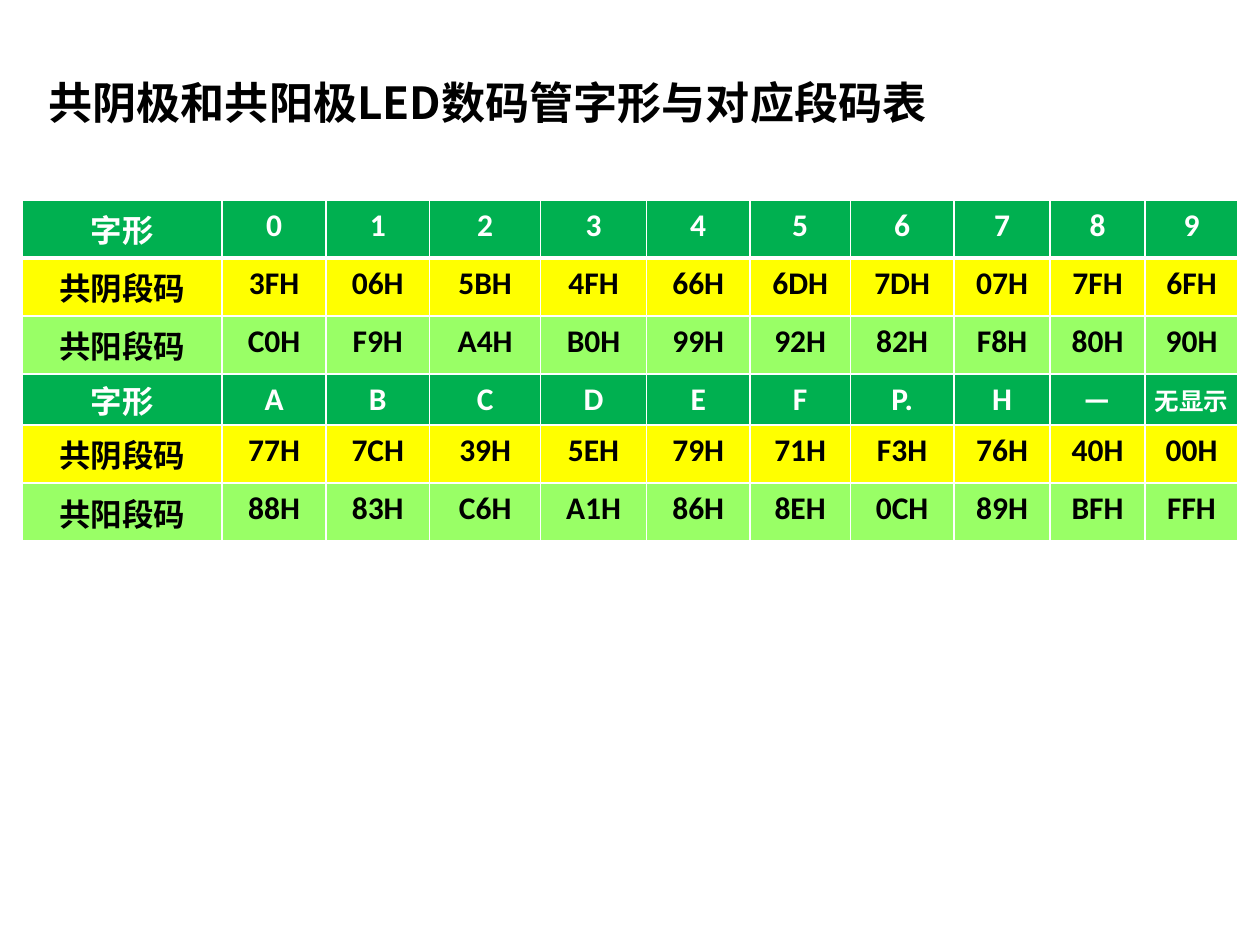
from lxml.etree import SubElement
from pptx import Presentation
from pptx.dml.color import RGBColor
from pptx.enum.text import MSO_ANCHOR, PP_ALIGN
from pptx.oxml.ns import qn
from pptx.util import Cm, Pt

GREEN, YELLOW, LIME = "00B050", "FFFF00", "99FF66"
WHITE, BLACK = "FFFFFF", "000000"
CJK_FONT = "Noto Sans CJK SC"

COLUMN_WIDTHS = [4.04, 2.09, 2.09, 2.24, 2.13, 2.09, 2.02, 2.09, 1.94, 1.91, 1.88]
ROW_HEIGHTS = [1.17, 1.17, 1.17, 1.03, 1.17, 1.17]
GLYPH, CATHODE, ANODE = "字形", "共阴段码", "共阳段码"
ROW_COLORS = {GLYPH: (GREEN, WHITE), CATHODE: (YELLOW, BLACK), ANODE: (LIME, BLACK)}
ROWS = [
    [GLYPH, *"0123456789"],
    [CATHODE, "3FH", "06H", "5BH", "4FH", "66H", "6DH", "7DH", "07H", "7FH", "6FH"],
    [ANODE, "C0H", "F9H", "A4H", "B0H", "99H", "92H", "82H", "F8H", "80H", "90H"],
    [GLYPH, *"ABCDEF", "P.", "H", "－", "无显示"],
    [CATHODE, "77H", "7CH", "39H", "5EH", "79H", "71H", "F3H", "76H", "40H", "00H"],
    [ANODE, "88H", "83H", "C6H", "A1H", "86H", "8EH", "0CH", "89H", "BFH", "FFH"],
]
SECOND_GLYPH_ROW = 3


def color(value):
    return RGBColor.from_string(value)


class SlideBuilder:
    def __init__(self, slide, cell_font="Calibri", cell_size=18):
        self.slide = slide
        self.cell_font = cell_font
        self.cell_size = cell_size

    def format_runs(self, paragraph, font, size, text_color):
        """Style every run in bold, with the CJK font for East Asian text."""
        for run in paragraph.runs:
            run.font.name = font
            run.font.size = Pt(size)
            run.font.bold = True
            run.font.color.rgb = color(text_color)
            properties = run.font._element
            SubElement(properties, qn("a:ea")).set("typeface", CJK_FONT)

    def title(self, text, left, top, width, height):
        shape = self.slide.shapes.add_textbox(Cm(left), Cm(top), Cm(width), Cm(height))
        frame = shape.text_frame
        frame.word_wrap = True
        frame.vertical_anchor = MSO_ANCHOR.MIDDLE
        frame.text = text
        paragraph = frame.paragraphs[0]
        paragraph.line_spacing = 0.9
        self.format_runs(paragraph, CJK_FONT, 25.2, BLACK)

    def borders(self, cell, top, bottom):
        """Draw white cell borders; top and bottom are widths in points."""
        properties = cell._tc.get_or_add_tcPr()
        for side, width in (("L", 1), ("R", 1), ("T", top), ("B", bottom)):
            line = SubElement(properties, qn(f"a:ln{side}"))
            line.set("w", str(Pt(width)))
            fill = SubElement(line, qn("a:solidFill"))
            SubElement(fill, qn("a:srgbClr")).set("val", WHITE)

    def cell(self, cell, text, fill_color, text_color, size):
        cell.fill.solid()
        cell.fill.fore_color.rgb = color(fill_color)
        cell.text_frame.text = text
        paragraph = cell.text_frame.paragraphs[0]
        paragraph.alignment = PP_ALIGN.CENTER
        self.format_runs(paragraph, self.cell_font, size, text_color)

    def table(self, rows, left, top):
        table = self.slide.shapes.add_table(
            len(rows), len(COLUMN_WIDTHS), Cm(left), Cm(top),
            Cm(sum(COLUMN_WIDTHS)), Cm(sum(ROW_HEIGHTS))).table
        table.horz_banding = False
        for column, width in zip(table.columns, COLUMN_WIDTHS):
            column.width = Cm(width)
        for row_index, values in enumerate(rows):
            table.rows[row_index].height = Cm(ROW_HEIGHTS[row_index])
            fill_color, text_color = ROW_COLORS[values[0]]
            for column_index, text in enumerate(values):
                cell = table.cell(row_index, column_index)
                self.borders(cell, top=3 if row_index == 1 else 1,
                             bottom=3 if row_index == 0 else 1)
                size = 14 if text == "无显示" else self.cell_size
                self.cell(cell, text, fill_color, text_color, size)
                if row_index == SECOND_GLYPH_ROW:
                    cell.vertical_anchor = MSO_ANCHOR.MIDDLE
                    cell.margin_left = cell.margin_right = Cm(0.18)
                    cell.margin_top = cell.margin_bottom = Cm(0)


def main():
    presentation = Presentation()
    presentation.slide_width = Cm(25.4)
    presentation.slide_height = Cm(19.05)
    slide = presentation.slides.add_slide(presentation.slide_layouts[6])
    builder = SlideBuilder(slide)
    builder.title("共阴极和共阳极LED数码管字形与对应段码表", 0.73, 1.57, 23.01, 1.12)
    builder.table(ROWS, 0.44, 4.03)
    presentation.save("out.pptx")


if __name__ == "__main__":
    main()
